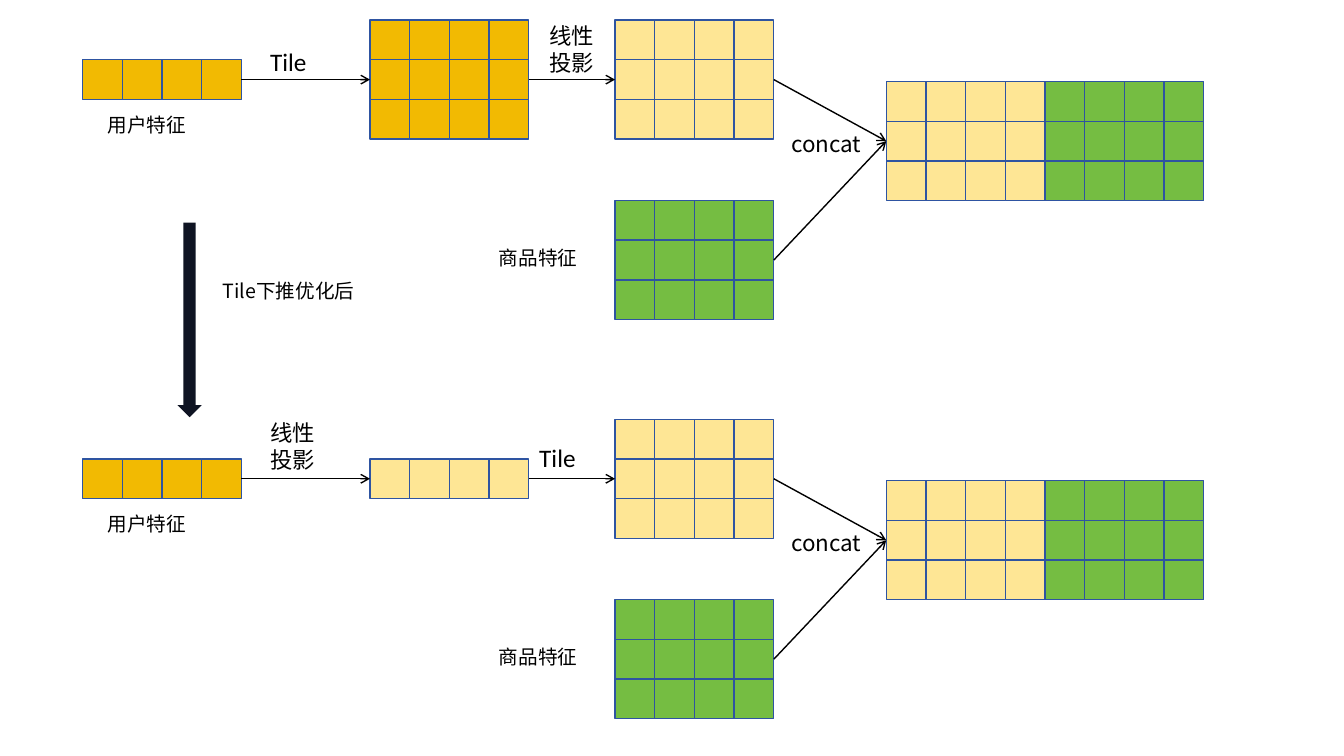
"""Build a slide comparing a feature pipeline before and after Tile push-down."""
from dataclasses import dataclass

from lxml import etree
from pptx import Presentation
from pptx.dml.color import RGBColor
from pptx.enum.shapes import MSO_CONNECTOR, MSO_SHAPE
from pptx.enum.text import MSO_AUTO_SIZE
from pptx.oxml.ns import qn
from pptx.shapes.autoshape import Shape
from pptx.slide import Slide
from pptx.util import Inches, Pt

RECT = MSO_SHAPE.RECTANGLE
DOWN_ARROW = MSO_SHAPE.DOWN_ARROW
STRAIGHT = MSO_CONNECTOR.STRAIGHT
FIT_SHAPE = MSO_AUTO_SIZE.SHAPE_TO_FIT_TEXT
NO_FIT = MSO_AUTO_SIZE.NONE

AMBER = RGBColor(0xF2, 0xBA, 0x02)
CREAM = RGBColor(0xFE, 0xE6, 0x95)
GREEN = RGBColor(0x75, 0xBD, 0x42)
BLUE = RGBColor(0x2E, 0x54, 0xA1)
NAVY = RGBColor(0x0F, 0x14, 0x23)
BLACK = RGBColor(0, 0, 0)

CJK = "Noto Sans CJK SC"
LATIN = "Calibri"
COLS = 4
CELL = 3.15 / (2 * COLS)
LEFT_SIDE, RIGHT_SIDE = 1, 3
FLOW_SHIFT = 3.96


@dataclass
class Grid:
    left: float
    middle: float
    rows: int
    color: RGBColor


@dataclass
class Label:
    text: str
    left: float
    top: float
    width: float
    height: float
    size: int
    font: str = CJK
    grow: bool = True


@dataclass
class Flow:
    shift: float
    second_rows: int
    second_color: RGBColor
    step_labels: list[Label]


SHARED_LABELS = [
    Label("concat", 7.75, 1.24, 0.97, 0.37, 16),
    Label("用户特征", 0.97, 1.07, 1.24, 0.34, 14),
    Label("商品特征", 4.85, 2.39, 1.24, 0.34, 14),
]
FLOWS = [
    Flow(0, 3, AMBER, [
        Label("Tile", 2.58, 0.41, 0.86, 0.4, 18, LATIN),
        Label("线性投影", 5.35, 0.17, 0.86, 0.64, 16),
    ]),
    Flow(FLOW_SHIFT, 1, CREAM, [
        Label("线性投影", 2.58, 0.15, 0.86, 0.64, 16),
        Label("Tile", 5.25, 0.38, 0.86, 0.4, 18, LATIN),
    ]),
]


def add_grid(s: Slide, grid: Grid, shift: float) -> list[Shape]:
    """Draw a grid and return its middle row of cells."""
    top = grid.middle + shift - grid.rows * CELL / 2
    cells = []
    for i in range(grid.rows * COLS):
        row, col = divmod(i, COLS)
        sp = s.shapes.add_shape(RECT, Inches(grid.left + col * CELL), Inches(top + row * CELL),
                                Inches(CELL), Inches(CELL))
        sp.shadow.inherit = False
        sp.fill.solid()
        sp.fill.fore_color.rgb = grid.color
        sp.line.color.rgb = BLUE
        sp.line.width = Pt(1)
        cells.append(sp)
    first = grid.rows // 2 * COLS
    return cells[first:first + COLS]


def add_arrow(s: Slide, source: list[Shape], target: list[Shape]) -> None:
    """Join the right side of one grid to the left side of another."""
    arrow = s.shapes.add_connector(STRAIGHT, 0, 0, 0, 0)
    arrow.begin_connect(source[-1], RIGHT_SIDE)
    arrow.end_connect(target[0], LEFT_SIDE)
    arrow.line.color.rgb = BLACK
    arrow.line.width = Pt(1)
    etree.SubElement(arrow.line._get_or_add_ln(), qn("a:tailEnd"), type="arrow")
    etree.SubElement(arrow._element.spPr, qn("a:effectLst"))


def add_label(s: Slide, label: Label, shift: float = 0) -> None:
    """Draw a left-aligned text label."""
    sp = s.shapes.add_textbox(Inches(label.left), Inches(label.top + shift),
                              Inches(label.width), Inches(label.height))
    tf = sp.text_frame
    tf.word_wrap = True
    tf.auto_size = FIT_SHAPE if label.grow else NO_FIT
    tf.text = label.text
    r = tf.paragraphs[0].runs[0]
    r.font.size = Pt(label.size)
    r.font.name = label.font
    r.font.color.rgb = BLACK
    etree.SubElement(r._r.get_or_add_rPr(), qn("a:ea"), typeface=CJK)


def add_flow(s: Slide, flow: Flow) -> None:
    """Draw one pipeline from user and item features to their concatenation."""
    grids = [
        Grid(0.82, 0.79, 1, AMBER),
        Grid(3.67, 0.79, flow.second_rows, flow.second_color),
        Grid(6.1, 0.79, 3, CREAM),
        Grid(6.1, 2.58, 3, GREEN),
        Grid(8.79, 1.4, 3, CREAM),
        Grid(8.79 + COLS * CELL, 1.4, 3, GREEN),
    ]
    user, second, tiled, item, joined, _ = [add_grid(s, grid, flow.shift) for grid in grids]
    for source, target in [(user, second), (second, tiled), (tiled, joined), (item, joined)]:
        add_arrow(s, source, target)
    for label in flow.step_labels + SHARED_LABELS:
        add_label(s, label, flow.shift)


def main() -> None:
    """Build and save the slide."""
    prs = Presentation()
    prs.slide_width = Inches(13.33)
    prs.slide_height = Inches(7.5)
    s = prs.slides.add_slide(prs.slide_layouts[6])
    for flow in FLOWS:
        add_flow(s, flow)
    sp = s.shapes.add_shape(DOWN_ARROW, Inches(1.76), Inches(2.21), Inches(0.24), Inches(1.93))
    sp.shadow.inherit = False
    sp.fill.solid()
    sp.fill.fore_color.rgb = NAVY
    sp.line.fill.background()
    add_label(s, Label("Tile下推优化后", 2.11, 2.72, 2.11, 0.62, 14, grow=False))
    prs.save("out.pptx")


if __name__ == "__main__":
    main()
